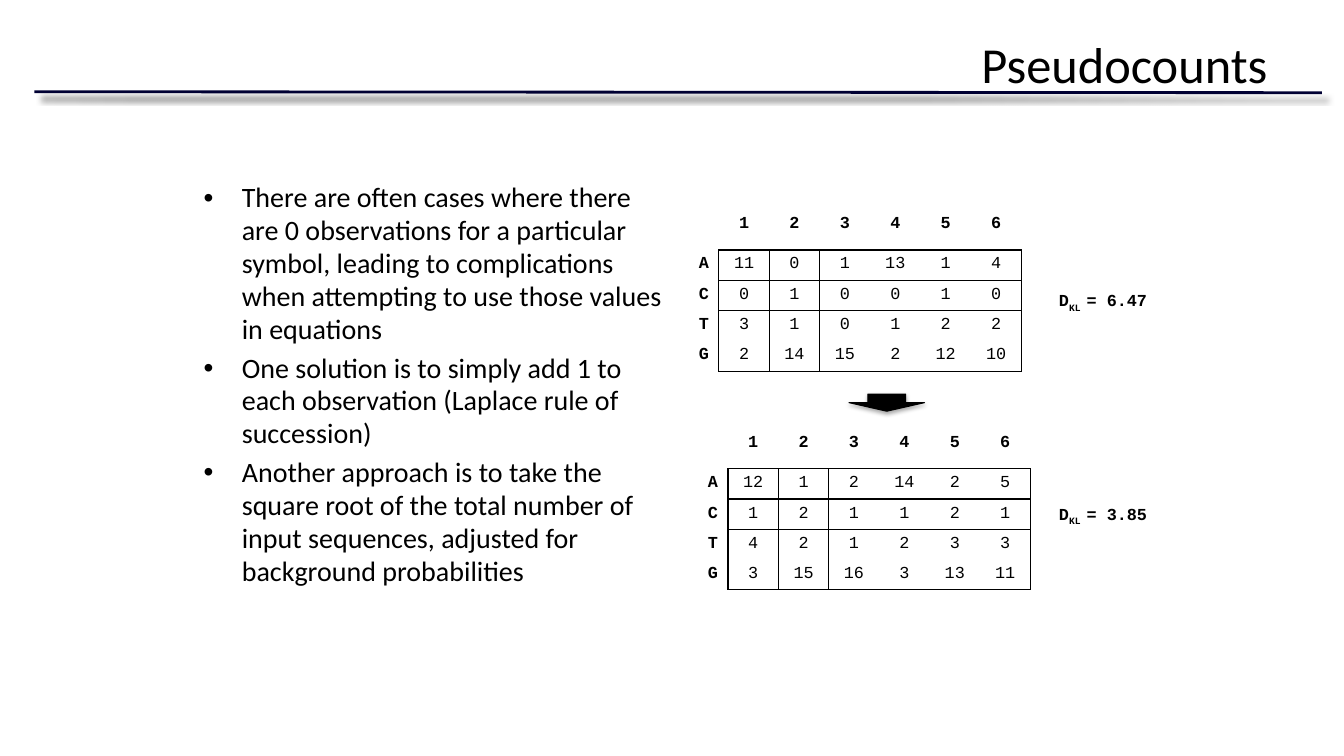
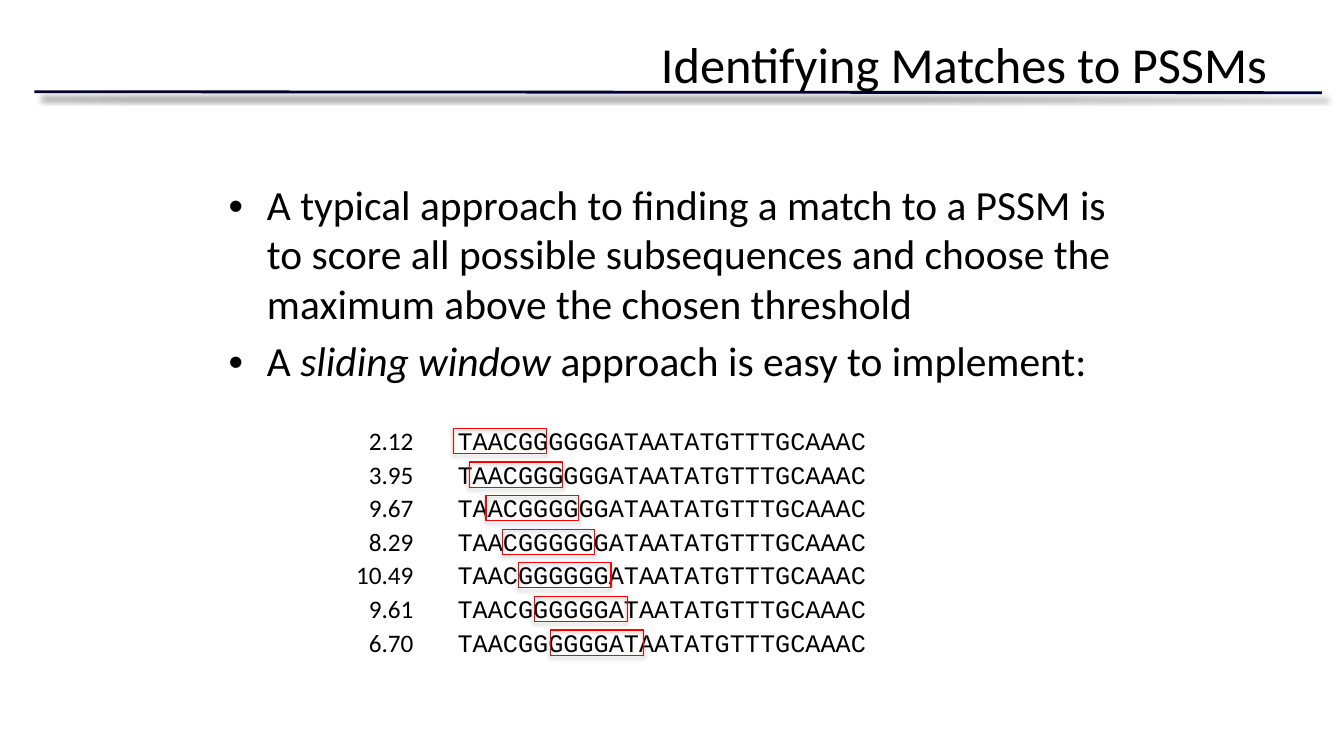
from lxml.etree import SubElement
from pptx import Presentation
from pptx.dml.color import RGBColor
from pptx.enum.shapes import MSO_CONNECTOR, MSO_SHAPE
from pptx.enum.text import MSO_ANCHOR, PP_ALIGN
from pptx.oxml.ns import qn
from pptx.util import Inches, Pt

BLACK = RGBColor(0x00, 0x00, 0x00)
NAVY = RGBColor(0x00, 0x00, 0x33)
RED = RGBColor(0xFF, 0x00, 0x00)
SANS, MONO = "Calibri", "Courier New"
NO_GRID_STYLE = "{2D5ABB26-0587-4C30-8999-92F81FD0307C}"


def write(paragraph, text, font=SANS, size=18, color=BLACK, bold=False,
          italic=False, baseline=0):
    """Add one formatted run to a paragraph."""
    run = paragraph.add_run()
    run.text = text
    run.font.name = font
    run.font.size = Pt(size)
    run.font.color.rgb = color
    run.font.bold = bold
    run.font.italic = italic
    if baseline:
        run.font._element.set("baseline", str(baseline * 1000))


def add_shadow(shape, alpha, blur, distance, angle):
    effects = shape._element.spPr.find(qn("a:effectLst"))
    if effects is None:
        effects = SubElement(shape._element.spPr, qn("a:effectLst"))
    shadow = SubElement(effects, qn("a:outerShdw"), blurRad=str(Pt(blur)),
                        dist=str(Pt(distance)), dir=str(angle * 60000),
                        rotWithShape="0")
    color = SubElement(shadow, qn("a:srgbClr"), val=str(BLACK))
    SubElement(color, qn("a:alpha"), val=str(alpha * 1000))


def add_borders(cell, sides):
    """Draw thin black borders; sides is a subset of 'LRTB' in that order."""
    properties = cell._tc.get_or_add_tcPr()
    for position, side in enumerate(sides):
        line = SubElement(properties, qn(f"a:ln{side}"), w=str(Pt(1)))
        fill = SubElement(line, qn("a:solidFill"))
        SubElement(fill, qn("a:srgbClr"), val=str(BLACK))
        properties.insert(position, line)


class Deck:
    def __init__(self):
        self.presentation = Presentation()
        self.presentation.slide_width = Inches(13.33)
        self.presentation.slide_height = Inches(7.5)
        self.slide = None

    def new_slide(self, title):
        layout = self.presentation.slide_layouts[6]
        self.slide = self.presentation.slides.add_slide(layout)
        # Rule under the title
        rule = self.slide.shapes.add_connector(
            MSO_CONNECTOR.STRAIGHT, Inches(0.34), Inches(0.91),
            Inches(13.11), Inches(0.92))
        rule.line.color.rgb = NAVY
        rule.line.width = Pt(2)
        add_shadow(rule, 50, 4, 6, 45)
        # Title
        frame = self.text(0.67, 0.25, 12, 1.25, [(title, {})],
                          align=PP_ALIGN.RIGHT, size=36)
        frame.margin_top = Inches(0.08)

    def frame(self, left, top, width, height):
        box = self.slide.shapes.add_textbox(
            Inches(left), Inches(top), Inches(width), Inches(height))
        box.text_frame.word_wrap = True
        return box.text_frame

    def text(self, left, top, width, height, runs, align=PP_ALIGN.LEFT,
             **style):
        frame = self.frame(left, top, width, height)
        paragraph = frame.paragraphs[0]
        paragraph.alignment = align
        for words, changes in runs:
            write(paragraph, words, **{**style, **changes})
        return frame

    def bullets(self, left, top, width, height, items, size, spacing):
        frame = self.frame(left, top, width, height)
        frame.margin_right = Inches(0.05)
        for number, runs in enumerate(items):
            paragraph = frame.add_paragraph() if number else frame.paragraphs[0]
            properties = paragraph._p.get_or_add_pPr()
            properties.set("marL", str(Inches(0.38)))
            properties.set("indent", str(-Inches(0.38)))
            SubElement(properties, qn("a:buFont"), typeface="Arial")
            SubElement(properties, qn("a:buChar"), char="•")
            paragraph.line_spacing = spacing
            if number:
                paragraph.space_before = Pt(round(size * 0.2))
            for words, changes in runs:
                write(paragraph, words, size=size, **changes)

    def shape(self, kind, left, top, width, height, line, fill=None):
        shape = self.slide.shapes.add_shape(
            kind, Inches(left), Inches(top), Inches(width), Inches(height))
        if fill is None:
            shape.fill.background()
        else:
            shape.fill.solid()
            shape.fill.fore_color.rgb = fill
        shape.line.color.rgb = line
        shape.line.width = Pt(0.75)
        shape.shadow.inherit = False
        add_shadow(shape, 35, 3.1, 1.8, 90)

    def count_matrix(self, left, top, row_height, counts):
        """Table of symbol counts by position, boxed inside its headings."""
        rows = [["", *map(str, range(1, 7))]]
        rows += [[symbol, *map(str, values)]
                 for symbol, values in zip("ACTG", counts)]
        table = self.slide.shapes.add_table(
            len(rows), len(rows[0]), Inches(left), Inches(top),
            Inches(3.3), Inches(row_height * len(rows))).table
        table.first_row = table.horz_banding = False
        table._tbl.tblPr.find(qn("a:tableStyleId")).text = NO_GRID_STYLE
        for c, column in enumerate(table.columns):
            column.width = Inches(0.5 if c else 0.3)
        ruled_columns, ruled_rows = (1, 2, 7), (1, 2, 5)
        for r, row in enumerate(rows):
            for c, value in enumerate(row):
                cell = table.cell(r, c)
                cell.fill.background()
                cell.vertical_anchor = MSO_ANCHOR.TOP
                if c == 0:
                    cell.margin_left = 0
                paragraph = cell.text_frame.paragraphs[0]
                paragraph.alignment = PP_ALIGN.CENTER if c else PP_ALIGN.RIGHT
                write(paragraph, value, font=MONO, size=12,
                      bold=r == 0 or c == 0)
                drawn = {"L": r and c in ruled_columns,
                         "R": r and c + 1 in ruled_columns,
                         "T": c and r in ruled_rows,
                         "B": c and r + 1 in ruled_rows}
                add_borders(cell, [side for side in drawn if drawn[side]])

    def divergence(self, top, value):
        runs = [("D", {}), ("KL ", {"baseline": -25}), (f"= {value}", {})]
        self.text(10.38, top, 1.12, 0.3, runs, align=PP_ALIGN.CENTER,
                  font=MONO, size=12, bold=True).word_wrap = False


def pseudocounts(deck):
    deck.new_slide("Pseudocounts")
    points = [
        "There are often cases where there are 0 observations for a particular "
        "symbol, leading to complications when attempting to use those values "
        "in equations",
        "One solution is to simply add 1 to each observation (Laplace rule of "
        "succession)",
        "Another approach is to take the square root of the total number of "
        "input sequences, adjusted for background probabilities",
    ]
    deck.bullets(1.92, 1.75, 4.75, 4.95, [[(point, {})] for point in points],
                 size=20, spacing=0.98)

    # Observed counts, then the same counts plus one
    observed = [[11, 0, 1, 13, 1, 4], [0, 1, 0, 0, 1, 0],
                [3, 1, 0, 1, 2, 2], [2, 14, 15, 2, 12, 10]]
    adjusted = [[count + 1 for count in row] for row in observed]
    deck.count_matrix(6.83, 2.08, 0.29, observed)
    deck.shape(MSO_SHAPE.DOWN_ARROW, 8.42, 3.91, 0.75, 0.17, BLACK, BLACK)
    deck.divergence(2.83, "6.47")
    deck.count_matrix(6.92, 4.25, 0.3, adjusted)
    deck.divergence(4.95, "3.85")


def matches(deck):
    deck.new_slide("Identifying Matches to PSSMs")
    deck.bullets(2.17, 1.75, 9, 2.42, [
        [("A typical approach to finding a match to a PSSM is to score all "
          "possible subsequences and choose the maximum above the chosen "
          "threshold", {})],
        [("A ", {}), ("sliding window", {"italic": True}),
         (" approach is easy to implement:", {})],
    ], size=29.6, spacing=0.99)

    # Window moves one symbol per row
    scores = ["2.12", "3.95", "9.67", "8.29", "10.49", "9.61", "6.70"]
    for step, score in enumerate(scores):
        top = 4.17 + step / 3
        deck.text(3.4, top, 0.8, 0.4, [(score, {})], align=PP_ALIGN.RIGHT)
        deck.text(4.44, top, 4.3, 0.4, [("TAACGGGGGGATAATATGTTTGCAAAC", {})],
                  font=MONO)
        deck.shape(MSO_SHAPE.RECTANGLE, 4.5 + 0.16 * step, top + 0.08,
                   0.92, 0.25, RED)


def main():
    deck = Deck()
    pseudocounts(deck)
    matches(deck)
    deck.presentation.save("out.pptx")


if __name__ == "__main__":
    main()
